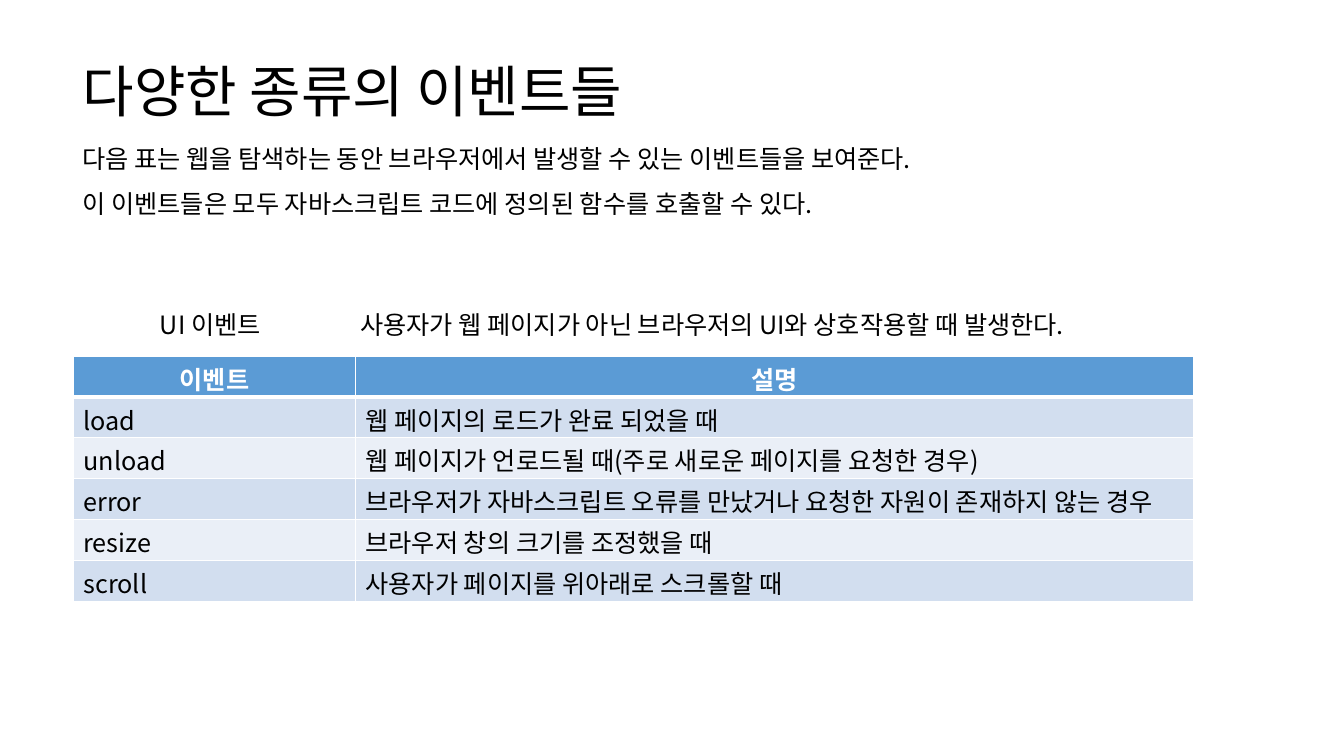
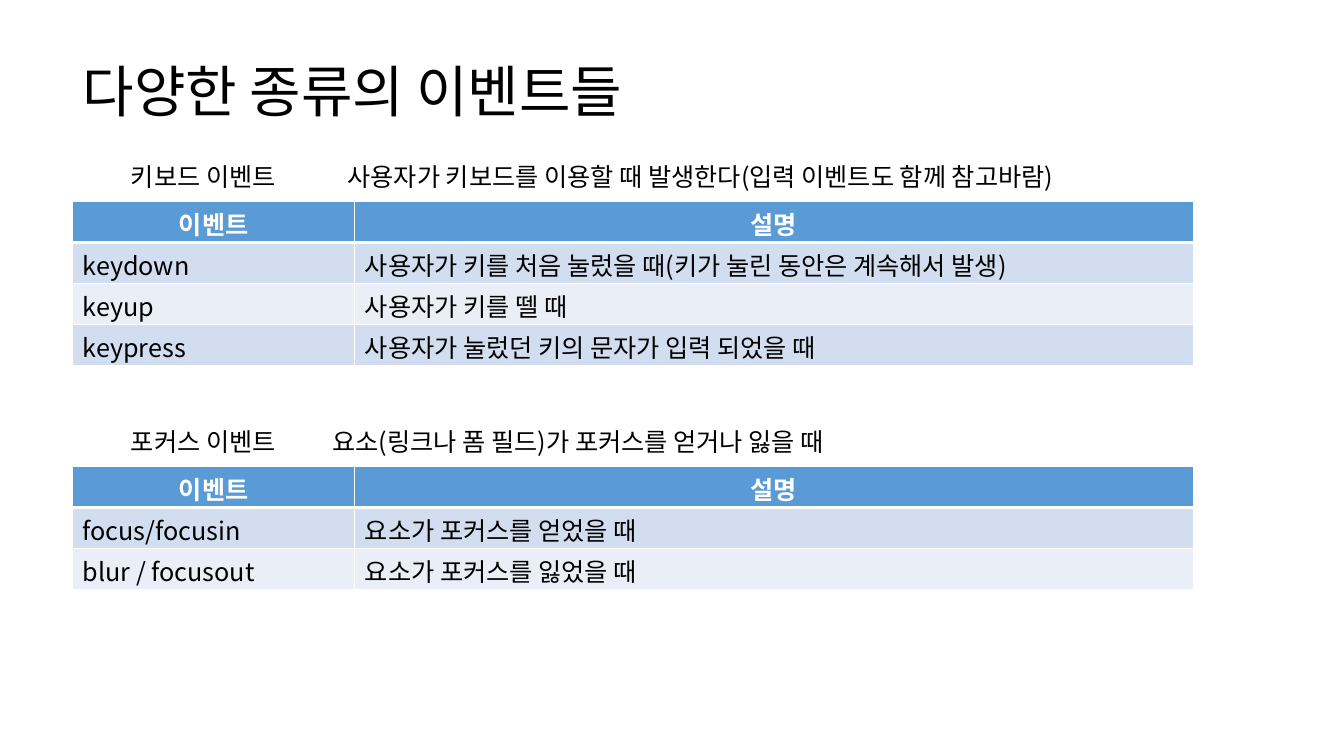
"""Build two slides that list browser events in captioned tables."""
from dataclasses import dataclass

from lxml import etree
from pptx import Presentation
from pptx.dml.color import RGBColor
from pptx.enum.text import MSO_ANCHOR, MSO_AUTO_SIZE, PP_ALIGN
from pptx.oxml.ns import qn
from pptx.util import Cm, Pt

LEFT, CENTER = PP_ALIGN.LEFT, PP_ALIGN.CENTER
TOP = MSO_ANCHOR.TOP
NO_FIT = MSO_AUTO_SIZE.NONE
TITLE_ONLY = 5


@dataclass(frozen=True)
class Theme:
    font: str = "Noto Sans CJK KR"
    text: str = "000000"
    white: str = "FFFFFF"
    header: str = "5B9BD5"
    bands: tuple = ("D2DEEF", "EAEFF7")
    title_size: int = 40
    body_size: int = 18
    title_line: int = 48
    body_line: int = 32
    caption_line: float = 21.6
    border: int = 1
    header_border: int = 3


THEME = Theme()
TITLE = "다양한 종류의 이벤트들"
HEADINGS = ("이벤트", "설명")
COLUMNS = (7.11, 21.13)
ROW_HEIGHT = 1.03
TEXT_LEFT = 1.83
TEXT_WIDTH = 28.27

INTRO = (
    "다음 표는 웹을 탐색하는 동안 브라우저에서 발생할 수 있는 이벤트들을 보여준다.",
    "이 이벤트들은 모두 자바스크립트 코드에 정의된 함수를 호출할 수 있다.",
)
UI_EVENTS = (
    ("load", "웹 페이지의 로드가 완료 되었을 때"),
    ("unload", "웹 페이지가 언로드될 때(주로 새로운 페이지를 요청한 경우)"),
    ("error", "브라우저가 자바스크립트 오류를 만났거나 요청한 자원이 존재하지 않는 경우"),
    ("resize", "브라우저 창의 크기를 조정했을 때"),
    ("scroll", "사용자가 페이지를 위아래로 스크롤할 때"),
)
KEYBOARD_EVENTS = (
    ("keydown", "사용자가 키를 처음 눌렀을 때(키가 눌린 동안은 계속해서 발생)"),
    ("keyup", "사용자가 키를 뗄 때"),
    ("keypress", "사용자가 눌렀던 키의 문자가 입력 되었을 때"),
)
FOCUS_EVENTS = (
    ("focus/focusin", "요소가 포커스를 얻었을 때"),
    ("blur / focusout", "요소가 포커스를 잃었을 때"),
)


def add_run(p, text, size=THEME.body_size, color=THEME.text, bold=False):
    r = p.add_run()
    r.text = text
    r.font.name = THEME.font
    r.font.size = Pt(size)
    r.font.bold = bold
    r.font.color.rgb = RGBColor.from_string(color)
    ea = etree.SubElement(r.font._element, qn("a:ea"))
    ea.set("typeface", THEME.font)


def place(sp, left, top, width, height):
    sp.left, sp.top, sp.width, sp.height = map(Cm, (left, top, width, height))


def add_title_slide(prs):
    s = prs.slides.add_slide(prs.slide_layouts[TITLE_ONLY])
    sp = s.shapes.title
    place(sp, TEXT_LEFT, 1.17, 16.51, 1.96)
    tf = sp.text_frame
    tf.auto_size = NO_FIT
    tf.vertical_anchor = TOP
    tf.margin_top = Cm(0.25)
    p = tf.paragraphs[0]
    p.alignment = LEFT
    p.line_spacing = Pt(THEME.title_line)
    add_run(p, TITLE, THEME.title_size)
    return s


def add_text(s, left, top, height, lines, spacing):
    sp = s.shapes.add_textbox(Cm(left), Cm(top), Cm(TEXT_WIDTH), Cm(height))
    tf = sp.text_frame
    tf.word_wrap = True
    for i, line in enumerate(lines):
        p = tf.add_paragraph() if i else tf.paragraphs[0]
        p.line_spacing = Pt(spacing)
        add_run(p, line)
    return tf


def add_caption(s, left, top, name, description, tab):
    tf = add_text(s, left, top, 1.02, [f"{name}\t{description}"], THEME.caption_line)
    pPr = tf.paragraphs[0]._p.get_or_add_pPr()
    stops = etree.SubElement(pPr, qn("a:tabLst"))
    etree.SubElement(stops, qn("a:tab"), pos=str(Cm(tab)), algn="l")


def add_borders(cell, row):
    tcPr = cell._tc.get_or_add_tcPr()
    thick = {0: "lnB", 1: "lnT"}.get(row)
    for side in ("lnL", "lnR", "lnT", "lnB"):
        width = THEME.header_border if side == thick else THEME.border
        ln = etree.SubElement(tcPr, qn(f"a:{side}"), w=str(Pt(width)))
        fill = etree.SubElement(ln, qn("a:solidFill"))
        etree.SubElement(fill, qn("a:srgbClr"), val=THEME.white)


def fill_cell(cell, text, row):
    header = row == 0
    add_borders(cell, row)
    cell.margin_top, cell.margin_bottom = Cm(0.1), 0
    cell.fill.solid()
    color = THEME.header if header else THEME.bands[(row - 1) % 2]
    cell.fill.fore_color.rgb = RGBColor.from_string(color)
    p = cell.text_frame.paragraphs[0]
    p.alignment = CENTER if header else LEFT
    add_run(p, text, color=THEME.white if header else THEME.text, bold=header)


def add_event_table(s, left, top, events):
    rows = (HEADINGS, *events)
    frame = s.shapes.add_table(len(rows), len(COLUMNS), Cm(left), Cm(top),
                               Cm(sum(COLUMNS)), Cm(ROW_HEIGHT * len(rows)))
    table = frame.table
    for column, width in zip(table.columns, COLUMNS):
        column.width = Cm(width)
    for i, texts in enumerate(rows):
        table.rows[i].height = Cm(ROW_HEIGHT)
        for j, text in enumerate(texts):
            fill_cell(table.cell(i, j), text, i)


def build_ui_slide(prs):
    s = add_title_slide(prs)
    add_text(s, TEXT_LEFT, 3.12, 2.41, INTRO, THEME.body_line)
    add_event_table(s, 1.85, 8.97, UI_EVENTS)
    add_caption(s, 3.78, 7.67, "UI 이벤트",
                "사용자가 웹 페이지가 아닌 브라우저의 UI와 상호작용할 때 발생한다.", 5.05)


def build_input_slide(prs):
    s = add_title_slide(prs)
    add_event_table(s, TEXT_LEFT, 5.08, KEYBOARD_EVENTS)
    add_caption(s, 3.05, 3.94, "키보드 이벤트",
                "사용자가 키보드를 이용할 때 발생한다(입력 이벤트도 함께 참고바람)", 5.46)
    add_event_table(s, TEXT_LEFT, 11.76, FOCUS_EVENTS)
    add_caption(s, 3.05, 10.62, "포커스 이벤트",
                "요소(링크나 폼 필드)가 포커스를 얻거나 잃을 때", 5.08)


def main():
    prs = Presentation()
    prs.slide_width, prs.slide_height = Cm(33.87), Cm(19.05)
    build_ui_slide(prs)
    build_input_slide(prs)
    prs.save("out.pptx")


main()
